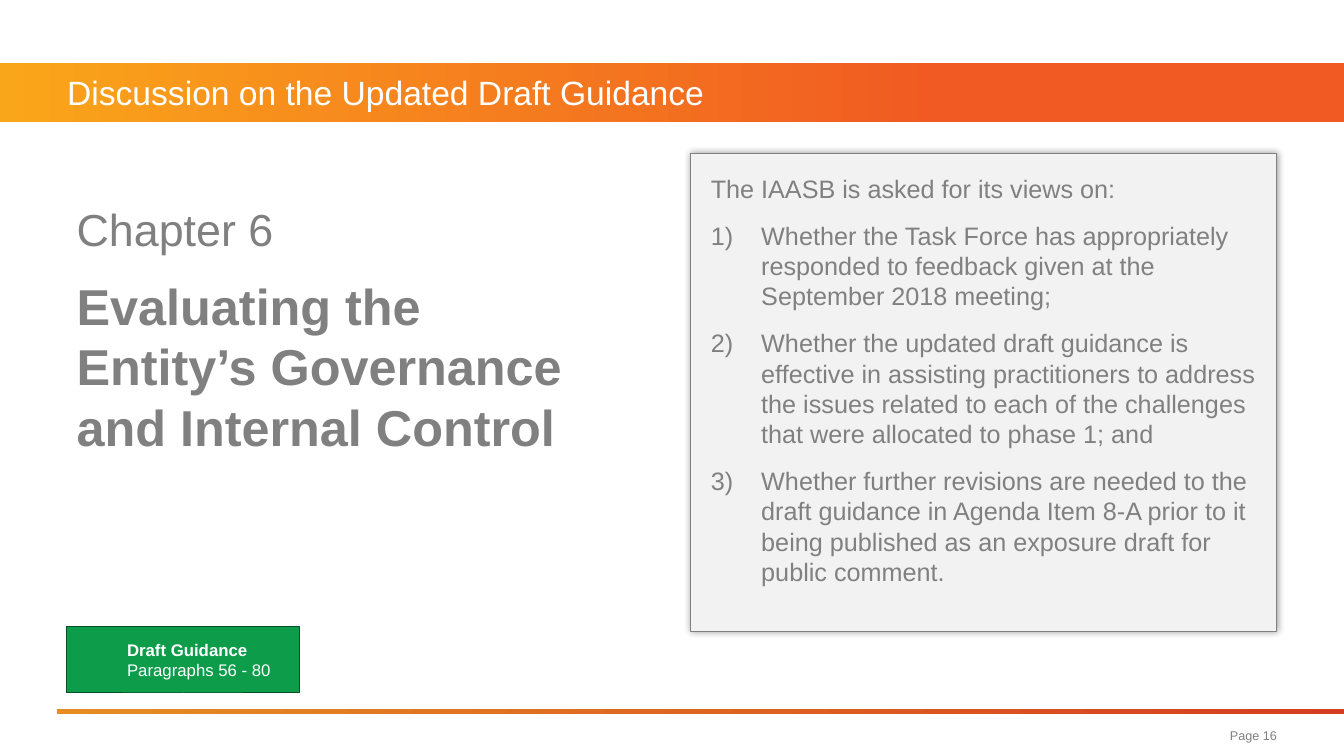
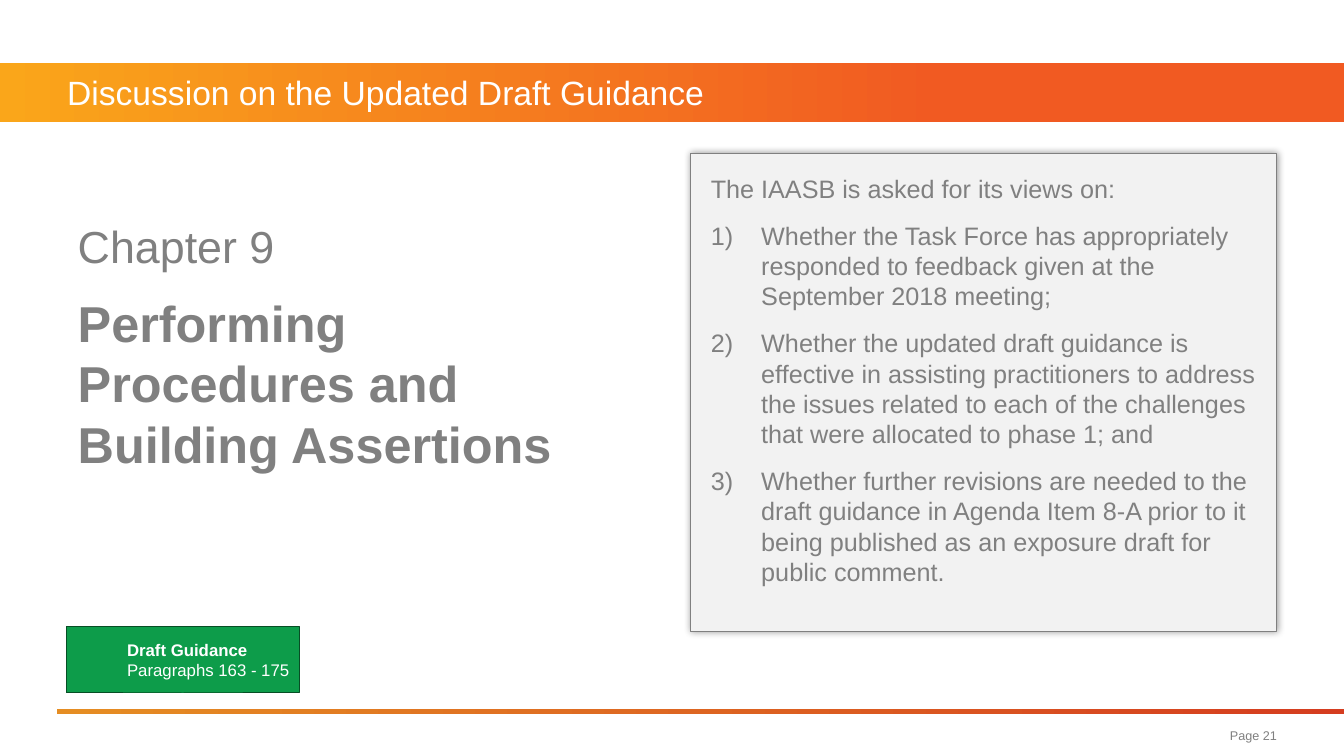
import pptx
import pptx.dml.color
import pptx.enum.shapes
import pptx.enum.text
import pptx.oxml
import pptx.oxml.ns
import pptx.util

RGB = pptx.dml.color.RGBColor
ANCHOR = pptx.enum.text.MSO_ANCHOR
ALIGN = pptx.enum.text.PP_ALIGN

WHITE = RGB(0xFF, 0xFF, 0xFF)
GREY = RGB(0x80, 0x80, 0x80)
PALE_GREY = RGB(0xF2, 0xF2, 0xF2)
GREEN = RGB(0x0D, 0x9C, 0x4A)
DARK_GREEN = RGB(0x07, 0x4E, 0x25)
AMBER = RGB(0xFA, 0xA6, 0x1A)
ORANGE = RGB(0xF1, 0x5A, 0x22)
RULE_ORANGE = RGB(0xE5, 0x8D, 0x23)
RULE_RED = RGB(0xD5, 0x3D, 0x20)

FONT = "Arial"
EMU_PER_PX = 9525  # 96 px to the inch
WIDTH, HEIGHT = 1280, 720
RIGHT_EDGE = 1216
BAND = (0, 60, WIDTH, 56)

TITLE = "Discussion on the Updated Draft Guidance"
QUESTION_LEAD = "The IAASB is asked for its views on:"
QUESTIONS = [
    "Whether the Task Force has appropriately responded to feedback given at the "
    "September 2018 meeting;",
    "Whether the updated draft guidance is effective in assisting practitioners to "
    "address the issues related to each of the challenges that were allocated to "
    "phase 1; and",
    "Whether further revisions are needed to the draft guidance in Agenda Item 8-A "
    "prior to it being published as an exposure draft for public comment.",
]
# Chapter, heading, paragraphs, page, and the box of the heading
CHAPTERS = [
    ("Chapter 6", "Evaluating the Entity’s Governance and Internal Control",
     "Paragraphs 56 - 80", "Page 16", (63, 187, 514, 255)),
    ("Chapter 9", "Performing Procedures and Building Assertions",
     "Paragraphs 163 - 175", "Page 21", (64, 203, 534, 255)),
]


def px(length):
    return pptx.util.Emu(length * EMU_PER_PX)


class Deck:
    def __init__(self):
        self.prs = pptx.Presentation()
        self.prs.slide_width, self.prs.slide_height = px(WIDTH), px(HEIGHT)
        self.slide = None

    def new_slide(self, page):
        """Start a slide with the shared band, rule, title and page number."""
        self.slide = self.prs.slides.add_slide(self.prs.slide_layouts[6])
        self.gradient_bar(BAND, AMBER, ORANGE, 0.7)
        self.gradient_bar((54, 675, WIDTH - 54, 5), RULE_ORANGE, RULE_RED, 1)
        title = self.text_frame((64, *BAND[1:2], 1152, BAND[3]), ANCHOR.MIDDLE)
        self.paragraph(title, TITLE, 24, WHITE)
        footer = self.text_frame((RIGHT_EDGE - 386, 684, 386, 32), ANCHOR.MIDDLE)
        self.paragraph(footer, page, 9).alignment = ALIGN.RIGHT

    def rectangle(self, box):
        shape = self.slide.shapes.add_shape(
            pptx.enum.shapes.MSO_SHAPE.RECTANGLE, *map(px, box))
        shape.shadow.inherit = False
        return shape

    def gradient_bar(self, box, start, end, end_position):
        bar = self.rectangle(box)
        bar.line.fill.background()
        bar.fill.gradient()
        bar.fill.gradient_angle = 0
        for stop, colour, position in zip(
                bar.fill.gradient_stops, (start, end), (0, end_position)):
            stop.color.rgb, stop.position = colour, position

    def panel(self, box, fill, line):
        panel = self.rectangle(box)
        panel.fill.solid()
        panel.fill.fore_color.rgb = fill
        panel.line.color.rgb = line
        panel.line.width = pptx.util.Pt(0.75)
        return panel

    def glow_shadow(self, shape):
        effects = shape._element.spPr.find(pptx.oxml.ns.qn("a:effectLst"))
        effects.append(pptx.oxml.parse_xml(
            f'<a:outerShdw {pptx.oxml.ns.nsdecls("a")} blurRad="63500" dist="0" '
            'dir="0" algn="ctr" rotWithShape="0"><a:srgbClr val="000000">'
            '<a:alpha val="40000"/></a:srgbClr></a:outerShdw>'))

    def text_frame(self, box, anchor=ANCHOR.TOP, insets=(0, 0, 0, 0)):
        holder = self.slide.shapes.add_textbox(*map(px, box))
        return self.set_frame(holder, anchor, insets)

    def set_frame(self, holder, anchor, insets):
        frame = holder.text_frame
        frame.word_wrap = True
        frame.vertical_anchor = anchor
        (frame.margin_left, frame.margin_top,
         frame.margin_right, frame.margin_bottom) = map(px, insets)
        return frame

    def paragraph(self, frame, text, size, colour=GREY, bold=False,
                  before=0, numbered=False):
        first = frame.paragraphs[0]
        para = frame.add_paragraph() if first.runs else first
        para.add_run().text = text
        para.alignment = ALIGN.LEFT
        if before:
            para.space_before = pptx.util.Pt(before)
        if numbered:
            props = para._p.get_or_add_pPr()
            props.set("marL", str(px(48)))
            props.set("indent", str(px(-48)))
            props.append(pptx.oxml.parse_xml(
                f'<a:buAutoNum {pptx.oxml.ns.nsdecls("a")} type="arabicParenR"/>'))
        para.font.name, para.font.size = FONT, pptx.util.Pt(size)
        para.font.bold, para.font.color.rgb = bold, colour
        return para

    def chapter_heading(self, box, chapter, heading):
        frame = self.text_frame(box, insets=(10, 5, 10, 5))
        self.paragraph(frame, chapter, 32)
        self.paragraph(frame, heading, 36, bold=True, before=14)

    def guidance_tag(self, paragraphs):
        tag = self.panel((63, 597, 222, 63), GREEN, DARK_GREEN)
        frame = self.set_frame(tag, ANCHOR.MIDDLE, (58, 5, 0, 5))
        self.paragraph(frame, "Draft Guidance", 12, WHITE, bold=True)
        self.paragraph(frame, paragraphs, 12, WHITE)

    def question_panel(self):
        panel = self.panel((658, 146, RIGHT_EDGE - 658, 455), PALE_GREY, GREY)
        self.glow_shadow(panel)
        frame = self.set_frame(panel, ANCHOR.TOP, (19, 19, 19, 19))
        self.paragraph(frame, QUESTION_LEAD, 18)
        for question in QUESTIONS:
            self.paragraph(frame, question, 18, before=12, numbered=True)


def main():
    deck = Deck()
    for chapter, heading, paragraphs, page, heading_box in CHAPTERS:
        deck.new_slide(page)
        deck.question_panel()
        deck.guidance_tag(paragraphs)
        deck.chapter_heading(heading_box, chapter, heading)
    deck.prs.save("out.pptx")


if __name__ == "__main__":
    main()
